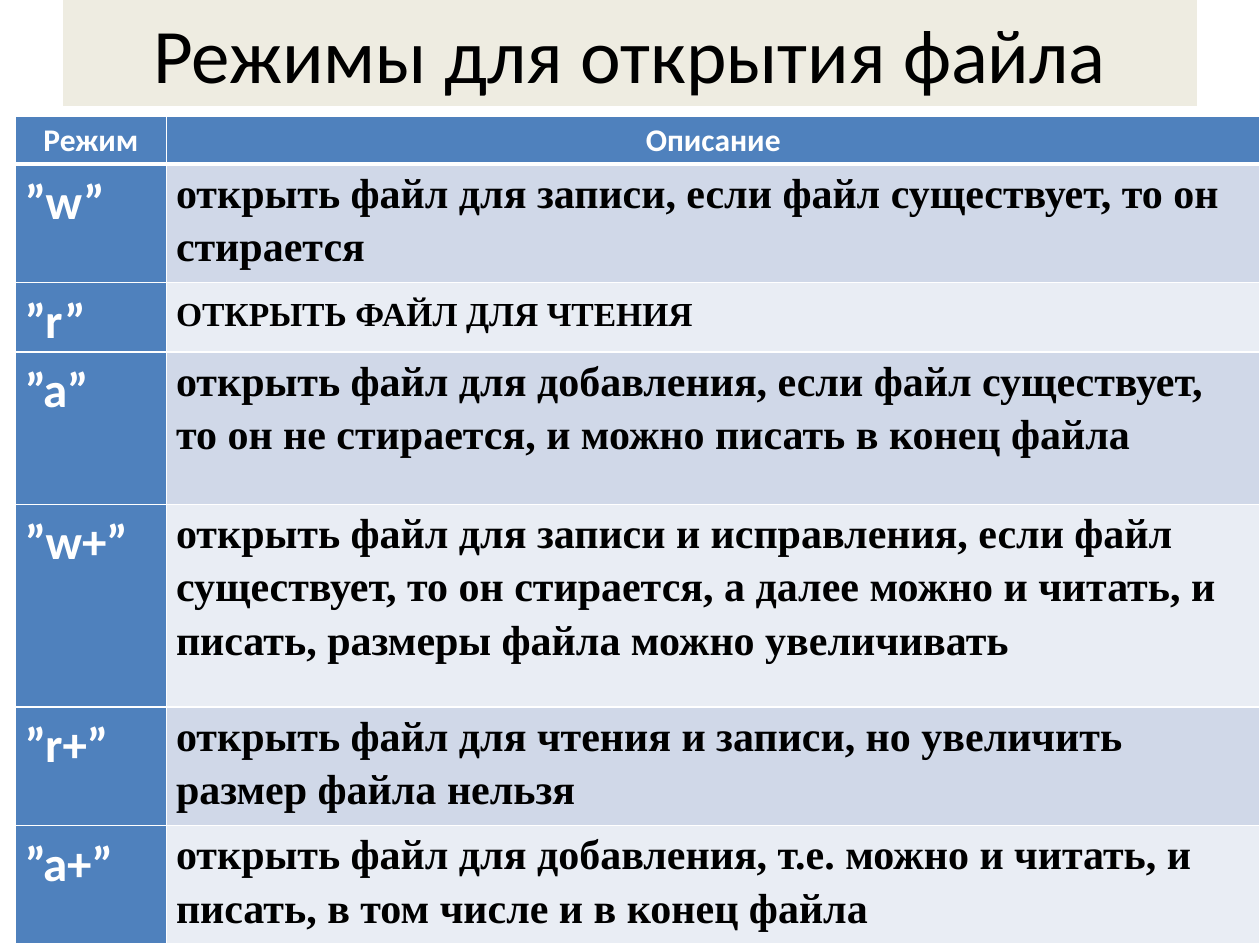
from lxml.etree import SubElement
from pptx import Presentation
from pptx.dml.color import RGBColor
from pptx.enum.text import MSO_ANCHOR, PP_ALIGN
from pptx.oxml.ns import qn
from pptx.util import Pt

COLORS = {
    "cream": "EEECE1",
    "blue": "4F81BD",
    "dark": "D0D8E8",
    "light": "E9EDF4",
    "white": "FFFFFF",
    "black": "000000",
}
HEADS = ("Режим", "Описание")
# Mode, meaning, row height
MODES = [
    ("”w”", "открыть файл для записи, если файл существует, то он стирается", 67.7),
    ("”r”", "открыть файл для чтения", 39.6),
    ("”a”", "открыть файл для добавления, если файл существует, "
            "то он не стирается, и можно писать в конец файла", 87.1),
    ("”w+”", "открыть файл для записи и исправления, если файл существует, "
             "то он стирается, а далее можно и читать, и писать, "
             "размеры файла можно увеличивать", 115.9),
    ("”r+”", "открыть файл для чтения и записи, но увеличить "
             "размер файла нельзя", 67.7),
    ("”a+”", "открыть файл для добавления, т.е. можно и читать, и писать, "
             "в том числе и в конец файла", 67.7),
]
HEAD_H = 27.4
MODE_W = 86.4


def color(name):
    return RGBColor.from_string(COLORS[name])


def style(para, size, face, ink, bold, align):
    para.alignment = align
    for run in para.runs:
        font = run.font
        font.size, font.name, font.bold = Pt(size), face, bold
        font.color.rgb = color(ink)


def place(item, box):
    item.left, item.top, item.width, item.height = (Pt(v) for v in box)


def edge(cell, base):
    """Draw white borders, with the bottom one of width base."""
    props = cell._tc.get_or_add_tcPr()
    for tag, width in (("a:lnL", 1), ("a:lnR", 1), ("a:lnT", 1), ("a:lnB", base)):
        line = SubElement(props, qn(tag), w=str(Pt(width)))
        fill = SubElement(line, qn("a:solidFill"))
        SubElement(fill, qn("a:srgbClr"), val=COLORS["white"])


def fill_cell(cell, text, back, size, face="Calibri", ink="white",
              align=PP_ALIGN.LEFT, base=1):
    cell.margin_left = cell.margin_right = Pt(5.4)
    cell.margin_top = cell.margin_bottom = 0
    edge(cell, base)
    cell.fill.solid()
    cell.fill.fore_color.rgb = color(back)
    cell.text_frame.text = text
    para = cell.text_frame.paragraphs[0]
    para.line_spacing = 1.15
    style(para, size, face, ink, True, align)
    return para


def add_title(slide, box):
    title = slide.shapes.title
    place(title, box)
    title.fill.solid()
    title.fill.fore_color.rgb = color("cream")
    frame = title.text_frame
    frame.text = "Режимы для открытия файла"
    frame.vertical_anchor = MSO_ANCHOR.MIDDLE
    style(frame.paragraphs[0], 44, "Calibri", "black", False, PP_ALIGN.CENTER)


def add_modes(slide, box):
    frame = slide.shapes.add_table(len(MODES) + 1, 2, *(Pt(v) for v in box))
    table = frame.table
    table.first_col = True
    table.columns[0].width = Pt(MODE_W)
    table.columns[1].width = Pt(box[2] - MODE_W)

    # Header row
    table.rows[0].height = Pt(HEAD_H)
    for col, head in enumerate(HEADS):
        fill_cell(table.cell(0, col), head, "blue", 18,
                  align=PP_ALIGN.CENTER, base=3)

    # One row for each mode
    for row, (mode, text, height) in enumerate(MODES, 1):
        table.rows[row].height = Pt(height)
        fill_cell(table.cell(row, 0), mode, "blue", 28)
        back = "dark" if row % 2 else "light"
        para = fill_cell(table.cell(row, 1), text, back, 24,
                         "Times New Roman", "black")
        if mode == "”r”":
            para.runs[0].font._element.set("cap", "small")


def main():
    deck = Presentation()
    deck.slide_width, deck.slide_height = Pt(720), Pt(540)
    slide = deck.slides.add_slide(deck.slide_layouts[5])
    add_title(slide, (36, 0, 648, 60.5))
    add_modes(slide, (8.8, 66.4, 711.2, 473.1))
    deck.save("out.pptx")


if __name__ == "__main__":
    main()
